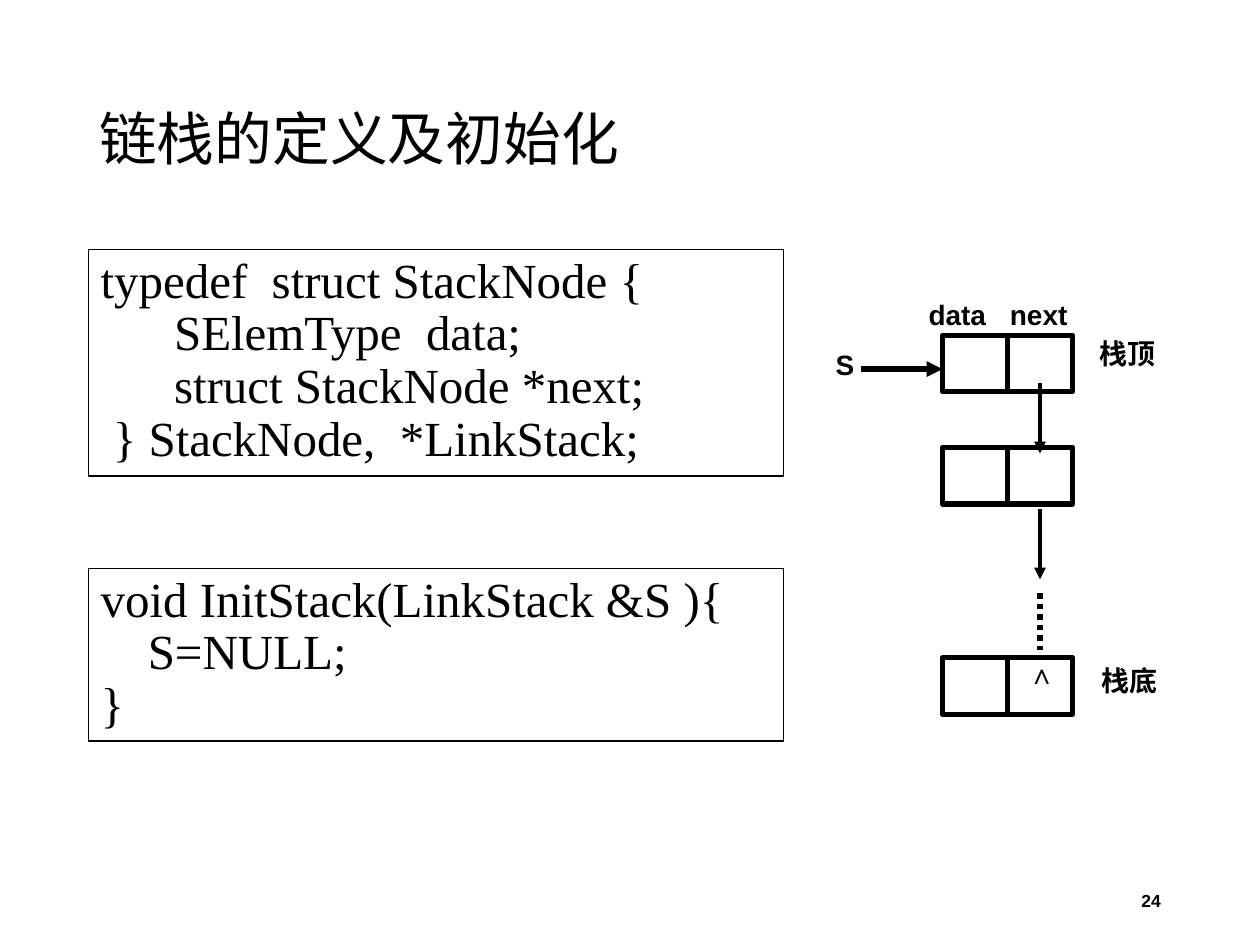
from lxml.etree import SubElement
from pptx import Presentation
from pptx.dml.color import RGBColor
from pptx.enum.dml import MSO_LINE
from pptx.enum.shapes import MSO_CONNECTOR, MSO_SHAPE
from pptx.enum.text import MSO_ANCHOR, PP_ALIGN
from pptx.oxml.ns import qn
from pptx.util import Cm, Pt

COLORS = {"ink": "000000", "paper": "FFFFFF"}
INK = RGBColor.from_string(COLORS["ink"])
PAPER = RGBColor.from_string(COLORS["paper"])

prs = Presentation()
prs.slide_width, prs.slide_height = Cm(25.4), Cm(19.05)
slide = prs.slides.add_slide(prs.slide_layouts[6])
shapes = slide.shapes


def write(box, lines, face, size, bold=False, align=PP_ALIGN.LEFT,
          anchor=MSO_ANCHOR.TOP, space=1.0, hang=0):
    """Fill a shape with lines in one style; hang is the hanging indent in cm."""
    frame = box.text_frame
    frame.word_wrap = True
    frame.vertical_anchor = anchor
    for i, line in enumerate(lines):
        para = frame.paragraphs[0] if i == 0 else frame.add_paragraph()
        para.text = line
        para.alignment = align
        para.line_spacing = space
        if hang:
            props = para._p.get_or_add_pPr()
            props.set("marL", str(Cm(hang)))
            props.set("indent", str(-Cm(hang)))
        font = para.font
        font.name, font.size, font.bold = face, Pt(size), bold
        font.color.rgb = INK
        style = para._p.pPr.find(qn("a:defRPr"))
        SubElement(style, qn("a:ea")).set("typeface", face)


def draw(x1, y1, x2, y2, width, head=False):
    """Add a straight line, with an arrowhead at its end if head is set."""
    line = shapes.add_connector(MSO_CONNECTOR.STRAIGHT,
                                Cm(x1), Cm(y1), Cm(x2), Cm(y2))
    line.line.color.rgb = INK
    line.line.width = Pt(width)
    if head:
        SubElement(line.line._get_or_add_ln(), qn("a:tailEnd")).set("type", "triangle")
    SubElement(line._element.spPr, qn("a:effectLst"))
    return line


# Title and page number
title = shapes.add_textbox(Cm(1.75), Cm(1.02), Cm(21.9), Cm(3.68))
write(title, ["链栈的定义及初始化"], "Noto Sans CJK SC", 33,
      anchor=MSO_ANCHOR.MIDDLE, space=0.9)
page = shapes.add_textbox(Cm(17.93), Cm(17.65), Cm(5.72), Cm(1.02))
write(page, ["24"], "Arial", 10, True, PP_ALIGN.RIGHT, MSO_ANCHOR.MIDDLE)

# Code boxes
code = [
    (5.03, 4.57, ["typedef  struct StackNode {",
                  "      SElemType  data;",
                  "      struct StackNode *next;",
                  " } StackNode,  *LinkStack;"]),
    (11.46, 3.48, ["void InitStack(LinkStack &S ){",
                   "\tS=NULL;",
                   "}"]),
]
for top, high, lines in code:
    box = shapes.add_shape(MSO_SHAPE.RECTANGLE, Cm(1.78), Cm(top), Cm(14.02), Cm(high))
    box.shadow.inherit = False
    box.fill.background()
    box.line.color.rgb = INK
    box.line.width = Pt(0.75)
    write(box, lines, "Times New Roman", 28, space=0.9, hang=0.95)

# Linked nodes, each split into data and next
left, wide, high = 19, 2.62, 1.14
mid, link = left + wide / 2, left + wide * 3 / 4
for top in (6.76, 9.02, 13.26):
    node = shapes.add_shape(MSO_SHAPE.RECTANGLE, Cm(left), Cm(top), Cm(wide), Cm(high))
    node.shadow.inherit = False
    node.fill.solid()
    node.fill.fore_color.rgb = PAPER
    node.line.color.rgb = INK
    node.line.width = Pt(3)
    split = draw(mid, top, mid, top + high, 3)
    split.begin_connect(node, 0)
    split.end_connect(node, 2)

# Pointers
draw(17.35, 7.44, left, 7.44, 3, head=True)
for top in (7.72, 10.26):
    draw(link, top, link, top + 1.42, 2.25, head=True)
dots = draw(link, 11.96, link, 13.11, 3)
dots.line.dash_style = MSO_LINE.ROUND_DOT

# Labels
labels = [
    ("data", 18.47, 5.87, 1.8, PP_ALIGN.LEFT),
    ("next", 20.11, 5.87, 1.8, PP_ALIGN.LEFT),
    ("栈顶", 21.92, 6.65, 1.73, PP_ALIGN.LEFT),
    ("栈底", 21.95, 13.26, 1.73, PP_ALIGN.LEFT),
    ("∧", 20.47, 13.11, 0.99, PP_ALIGN.CENTER),
    ("S", 16.54, 6.88, 0.99, PP_ALIGN.CENTER),
]
for word, x, y, width, align in labels:
    label = shapes.add_textbox(Cm(x), Cm(y), Cm(width), Cm(0.94))
    write(label, [word], "Arial", 16, True, align)

prs.save("out.pptx")
